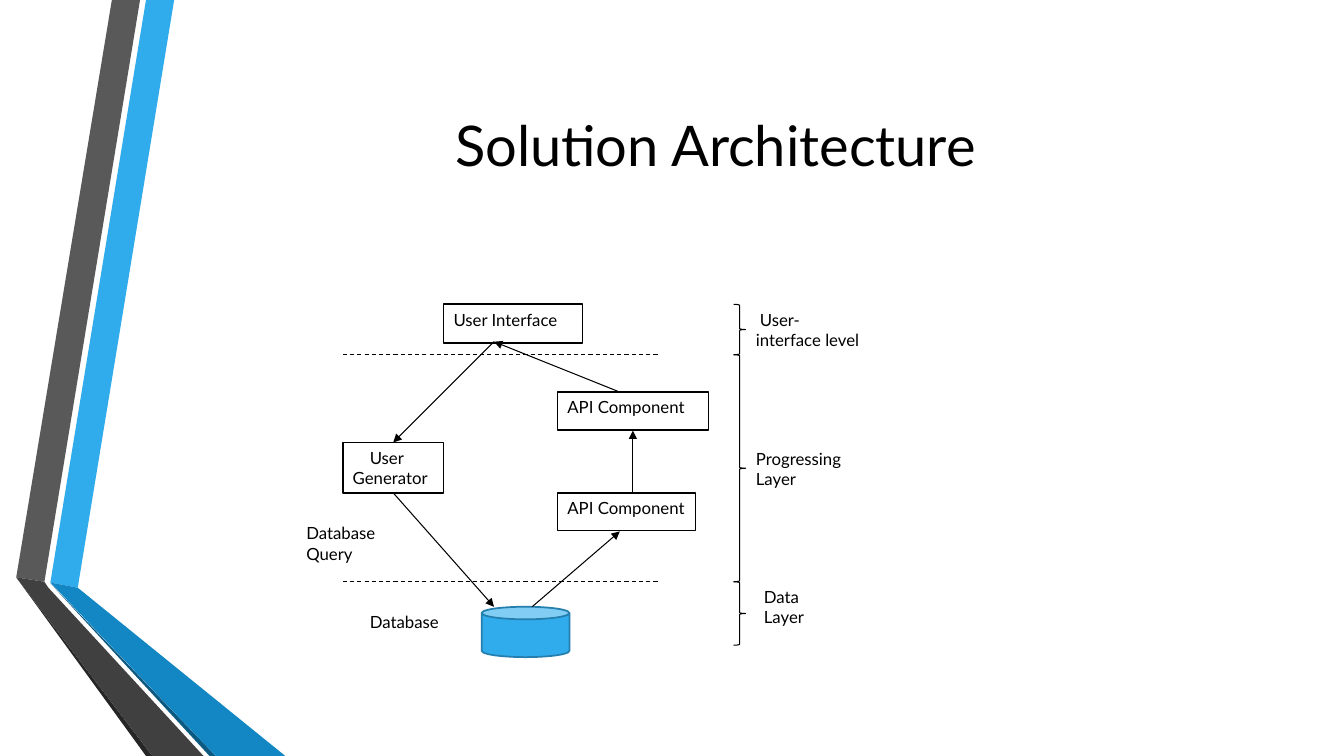
from dataclasses import dataclass
from itertools import pairwise

from lxml import etree
from pptx import Presentation, util as u
from pptx.dml.color import RGBColor
from pptx.enum import dml, shapes, text
from pptx.oxml.ns import qn

FONT = "Lato"
BLACK = "000000"
WHITE = "FFFFFF"
BLUE = "30ACEC"
KIND = shapes.MSO_SHAPE


@dataclass
class Line:
    words: str
    indent: float = 0


@dataclass
class Box:
    left: float
    top: float
    width: float
    height: float
    lines: tuple[Line, ...] = ()


@dataclass
class Ribbon:
    fill: str
    points: tuple[tuple[float, float], ...]


@dataclass
class Link:
    start: tuple[float, float]
    end: tuple[float, float]
    dashed: bool = False


RIBBONS = (
    Ribbon(BLUE, ((1.27, 14.68), (1.96, 14.81), (4.39, 0), (3.68, 0))),
    Ribbon("595959", ((3.53, 0), (2.82, 0), (0.41, 14.55), (1.12, 14.66))),
    Ribbon("262626", ((0.41, 14.55), (3.68, 19.05), (3.84, 19.05))),
    Ribbon("0C5A82", ((1.27, 14.7), (5.28, 19.05), (5.44, 19.05))),
    Ribbon("1287C3", ((1.27, 14.68), (5.44, 19.05), (7.19, 19.05), (1.96, 14.81))),
    Ribbon("404040", ((5.13, 19.05), (1.22, 14.81), (1.12, 14.66), (0.41, 14.55), (3.84, 19.05))),
)
PARTS = (
    Box(11.18, 7.67, 3.5, 0.97, (Line("User Interface"),)),
    Box(8.64, 11.15, 2.54, 1.27, (Line("User", 0.43), Line("Generator"))),
    Box(14.05, 9.88, 3.81, 0.95, (Line("API Component"),)),
    Box(14.05, 12.42, 3.48, 0.95, (Line("API Component"),)),
)
LABELS = (
    Box(18.8, 7.67, 3.18, 1.27, (Line("User-interface level", 0.1),)),
    Box(18.8, 11.18, 2.84, 1.57, (Line("Progressing"), Line("Layer"))),
    Box(18.8, 14.66, 2.54, 1.27, (Line("Data", 0.2), Line("Layer", 0.2))),
    Box(8.97, 15.29, 2.54, 1.27, (Line("Database", 0.1),)),
    Box(7.37, 13.06, 2.54, 1.27, (Line("Database", 0.1), Line("Query", 0.1))),
)
LEVELS = (7.67, 8.94, 14.66, 16.26)
LINKS = (
    *(Link((8.64, y), (16.59, y), True) for y in LEVELS[1:3]),
    Link((12.45, 8.61), (9.91, 11.15)),
    Link((15.62, 9.88), (12.45, 8.61)),
    Link((15.95, 12.42), (15.95, 10.85)),
    Link((9.91, 12.42), (12.45, 15.29)),
    Link((13.41, 15.29), (15.62, 13.39)),
)


def tint(code: str) -> RGBColor:
    return RGBColor.from_string(code)


def frame(box: Box) -> tuple[u.Length, ...]:
    return tuple(u.Cm(n) for n in (box.left, box.top, box.width, box.height))


def add_run(para, words: str, size: float) -> None:
    run = para.add_run()
    run.text = words
    run.font.name = FONT
    run.font.size = u.Pt(size)
    run.font.color.rgb = tint(BLACK)


def write(shape, lines: tuple[Line, ...]) -> None:
    body = shape.text_frame
    body.word_wrap = True
    body.vertical_anchor = text.MSO_ANCHOR.TOP
    for i, line in enumerate(lines):
        para = body.add_paragraph() if i else body.paragraphs[0]
        para.alignment = text.PP_ALIGN.LEFT
        para._p.get_or_add_pPr().set("indent", str(int(u.Cm(line.indent))))
        add_run(para, line.words, 12)


def paint(shape, fill: str | None, edge: str | None, width: float = 1.25) -> None:
    shape.shadow.inherit = False
    if fill:
        shape.fill.solid()
        shape.fill.fore_color.rgb = tint(fill)
    else:
        shape.fill.background()
    if edge:
        shape.line.color.rgb = tint(edge)
        shape.line.width = u.Pt(width)
    else:
        shape.line.fill.background()


def draw_ribbon(slide, ribbon: Ribbon) -> None:
    first, *rest = [(u.Cm(x), u.Cm(y)) for x, y in ribbon.points]
    path = slide.shapes.build_freeform(*first)
    path.add_line_segments(rest, close=True)
    paint(path.convert_to_shape(), ribbon.fill, None)


def draw_link(slide, link: Link) -> None:
    ends = [u.Cm(n) for n in (*link.start, *link.end)]
    wire = slide.shapes.add_connector(shapes.MSO_CONNECTOR.STRAIGHT, *ends)
    wire.line.color.rgb = tint(BLACK)
    wire.line.width = u.Pt(0.75)
    if link.dashed:
        wire.line.dash_style = dml.MSO_LINE.DASH
    else:
        etree.SubElement(wire.line._get_or_add_ln(), qn("a:tailEnd"), type="triangle")
    etree.SubElement(wire._element.spPr, qn("a:effectLst"))


def draw_title(slide, words: str) -> None:
    title = slide.shapes.title
    title.left, title.top, title.width, title.height = frame(Box(4.11, 1.9, 27.84, 3.48))
    title.text_frame.vertical_anchor = text.MSO_ANCHOR.MIDDLE
    para = title.text_frame.paragraphs[0]
    para.alignment = text.PP_ALIGN.CENTER
    add_run(para, words, 40)


def main() -> None:
    deck = Presentation()
    deck.slide_width, deck.slide_height = u.Cm(33.87), u.Cm(19.05)
    slide = deck.slides.add_slide(deck.slide_layouts.get_by_name("Title Only"))
    slide.background.fill.solid()
    slide.background.fill.fore_color.rgb = tint(WHITE)
    draw_title(slide, "Solution Architecture")
    for ribbon in RIBBONS:
        draw_ribbon(slide, ribbon)
    for part in PARTS:
        rect = slide.shapes.add_shape(KIND.RECTANGLE, *frame(part))
        paint(rect, WHITE, BLACK)
        write(rect, part.lines)
    store = slide.shapes.add_shape(KIND.CAN, *frame(Box(12.14, 15.29, 2.21, 1.27)))
    paint(store, BLUE, "247FAF")
    for link in LINKS:
        draw_link(slide, link)
    for top, base in pairwise(LEVELS):
        span = Box(18.49, top, 0.3, base - top)
        paint(slide.shapes.add_shape(KIND.RIGHT_BRACE, *frame(span)), None, BLACK, 0.75)
    for label in LABELS:
        write(slide.shapes.add_textbox(*frame(label)), label.lines)
    deck.save("out.pptx")


main()
